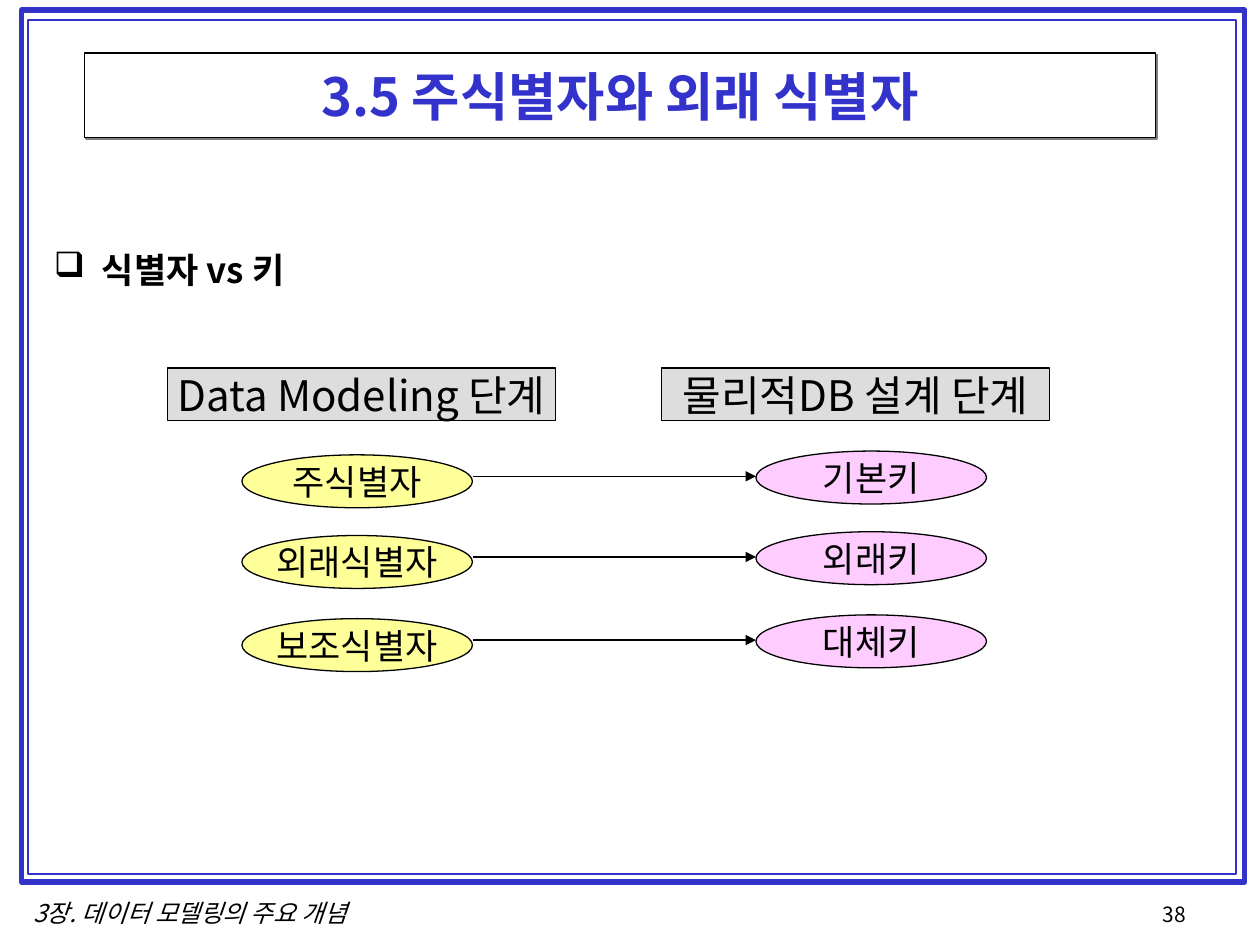
from lxml import etree
from pptx import Presentation, util as u
from pptx.dml.color import RGBColor
from pptx.enum import shapes, text
from pptx.oxml import parse_xml
from pptx.oxml.ns import qn

BLUE = RGBColor(0x33, 0x33, 0xCC)
BLACK = RGBColor(0, 0, 0)
WHITE = RGBColor(0xFF, 0xFF, 0xFF)
GRAY = RGBColor(0xDD, 0xDD, 0xDD)
YELLOW = RGBColor(0xFF, 0xFF, 0x99)
PINK = RGBColor(0xFF, 0xCC, 0xFF)
FONT = "Noto Sans CJK KR"
A_NS = "http://schemas.openxmlformats.org/drawingml/2006/main"
RECT, OVAL = shapes.MSO_SHAPE.RECTANGLE, shapes.MSO_SHAPE.OVAL
LEFT, CENTER = text.PP_ALIGN.LEFT, text.PP_ALIGN.CENTER
TOP, MIDDLE = text.MSO_ANCHOR.TOP, text.MSO_ANCHOR.MIDDLE

TITLE = "3.5 주식별자와 외래 식별자"
TOPIC = "식별자 vs 키"
FOOTER = "3장. 데이터 모델링의 주요 개념"
PAGE = "38"
STAGES = [("Data Modeling 단계", 1.33), ("물리적DB 설계 단계", 5.25)]
PAIRS = [("주식별자", "기본키", 3.78),
         ("외래식별자", "외래키", 4.42),
         ("보조식별자", "대체키", 5.08)]  # identifier, key, arrow height
FRAMES = [((0.17, 0.08, 9.71, 6.92), 3), ((0.22, 0.16, 9.59, 6.78), 1)]

STAGE_TOP, STAGE_W, ROW_H = 2.92, 3.08, 0.42
ID_X, KEY_X, OVAL_W = 1.92, 6, 1.83
ID_RISE, KEY_RISE = 0.17, 0.2


def inches(box):
    return [u.Inches(v) for v in box]


def write(sp, words, size, color=BLACK, bold=False, italic=False,
          align=CENTER, anchor=MIDDLE, wrap=False, bullet=None):
    tf = sp.text_frame
    tf.auto_size = text.MSO_AUTO_SIZE.NONE
    tf.word_wrap = wrap
    tf.vertical_anchor = anchor
    p = tf.paragraphs[0]
    p.alignment = align
    if bullet:
        pPr = p._p.get_or_add_pPr()
        pPr.set("marL", str(u.Inches(0.38)))
        pPr.set("indent", str(-u.Inches(0.38)))
        etree.SubElement(pPr, qn("a:buChar"), char=bullet)
    r = p.add_run()
    r.text = words
    f = r.font
    f.name, f.size, f.bold, f.italic = FONT, u.Pt(size), bold, italic
    f.color.rgb = color
    etree.SubElement(r._r.get_or_add_rPr(), qn("a:ea"), typeface=FONT)


def paint(sp, fill=None, line=BLACK, width=0.75):
    if fill is None:
        sp.fill.background()
    else:
        sp.fill.solid()
        sp.fill.fore_color.rgb = fill
    sp.line.color.rgb = line
    sp.line.width = u.Pt(width)
    sp.shadow.inherit = False


def add_shape(s, kind, box, **style):
    sp = s.shapes.add_shape(kind, *inches(box))
    paint(sp, **style)
    return sp


def add_text(s, box, words, size, **style):
    write(s.shapes.add_textbox(*inches(box)), words, size, **style)


def add_title(s):
    sp = s.shapes.title
    sp.left, sp.top, sp.width, sp.height = inches((0.67, 0.42, 8.5, 0.67))
    paint(sp, fill=WHITE)
    effects = sp._element.spPr.find(qn("a:effectLst"))
    effects.append(parse_xml(
        f'<a:outerShdw xmlns:a="{A_NS}" dist="{u.Pt(1.4)}" dir="2700000" '
        'algn="ctr" rotWithShape="0"><a:srgbClr val="808080"/></a:outerShdw>'))
    write(sp, TITLE, 30, color=BLUE, bold=True, wrap=True)


def add_arrow(s, x1, x2, y):
    c = s.shapes.add_connector(shapes.MSO_CONNECTOR.STRAIGHT,
                               *inches((x1, y, x2, y)))
    c.line.color.rgb = BLACK
    c.line.width = u.Pt(0.75)
    etree.SubElement(c.line._get_or_add_ln(), qn("a:tailEnd"), type="triangle")
    etree.SubElement(c._element.spPr, qn("a:effectLst"))


def main():
    prs = Presentation()
    prs.slide_width, prs.slide_height = u.Inches(10), u.Inches(7.5)
    s = prs.slides.add_slide(prs.slide_layouts[5])

    add_text(s, (9.13, 7.11, 0.87, 0.33), PAGE, 12,
             align=LEFT, anchor=TOP, wrap=True)
    add_text(s, (0.08, 7.08, 2.86, 0.34), FOOTER, 14, italic=True, anchor=TOP)
    for box, width in FRAMES:
        add_shape(s, RECT, box, line=BLUE, width=width)
    add_title(s)
    add_text(s, (0.33, 1.92, 9.33, 4.83), TOPIC, 20, bold=True,
             align=LEFT, anchor=TOP, wrap=True, bullet="❑")

    for stage, x in STAGES:
        sp = add_shape(s, RECT, (x, STAGE_TOP, STAGE_W, ROW_H), fill=GRAY)
        write(sp, stage, 24)
    for identifier, key, y in PAIRS:
        for words, x, rise, fill in ((identifier, ID_X, ID_RISE, YELLOW),
                                     (key, KEY_X, KEY_RISE, PINK)):
            sp = add_shape(s, OVAL, (x, y - rise, OVAL_W, ROW_H), fill=fill)
            write(sp, words, 20)
        add_arrow(s, ID_X + OVAL_W, KEY_X, y)

    prs.save("out.pptx")


if __name__ == "__main__":
    main()
